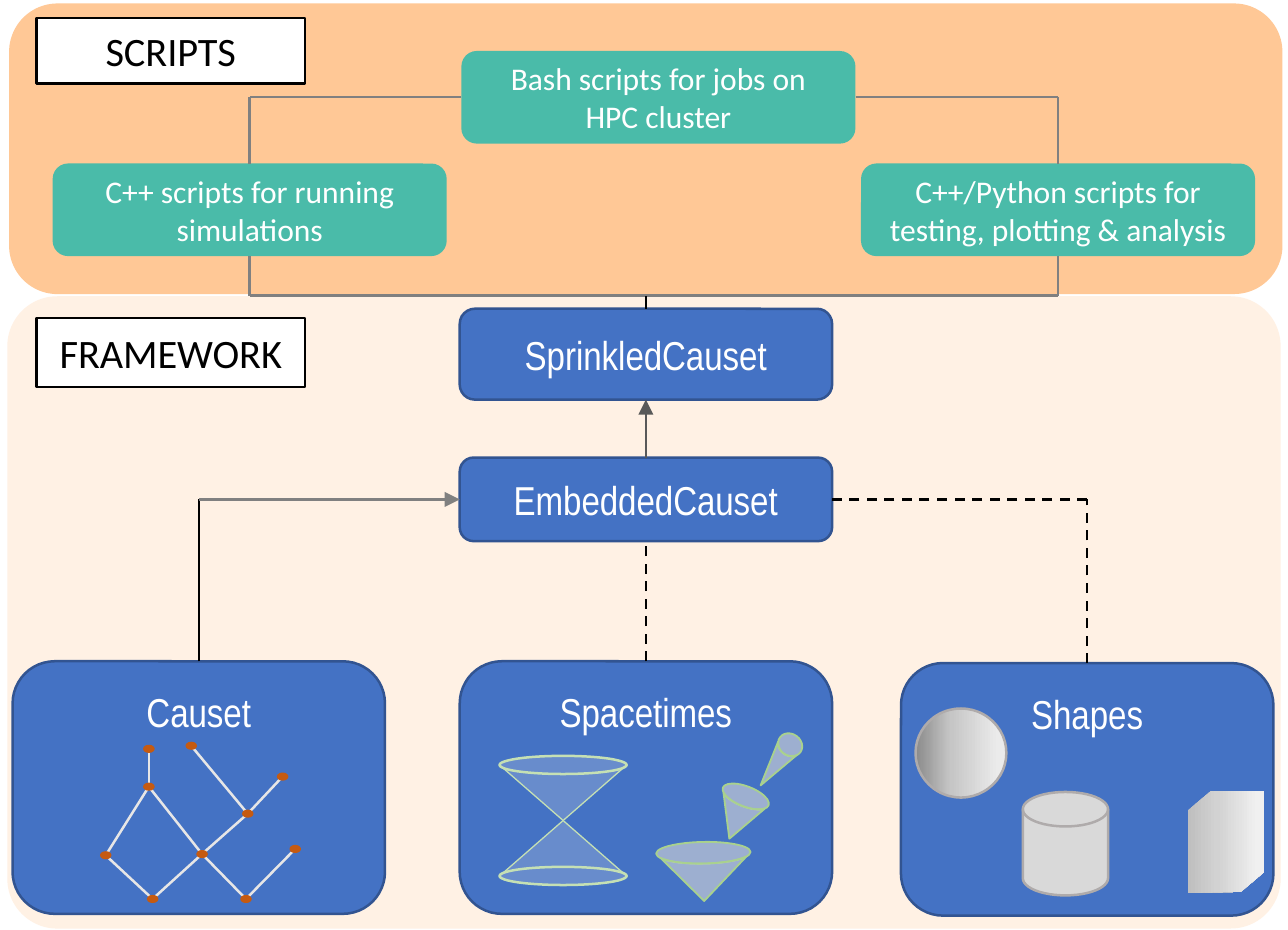
import copy
import math
import pptx
import pptx.util
import pptx.dml.color
import pptx.enum.dml
import pptx.enum.shapes
import pptx.enum.text
import pptx.oxml.ns
from lxml import etree

Pt = pptx.util.Pt
RGB = pptx.dml.color.RGBColor
SHAPE = pptx.enum.shapes.MSO_SHAPE
ANCHOR = pptx.enum.text.MSO_ANCHOR
qn = pptx.oxml.ns.qn

WHITE, BLACK = RGB(255, 255, 255), RGB(0, 0, 0)
ORANGE, CREAM = RGB(0xFF, 0xC8, 0x96), RGB(0xFF, 0xF1, 0xE4)
TEAL, BLUE, NAVY = RGB(0x4A, 0xBB, 0xA9), RGB(0x44, 0x72, 0xC4), RGB(0x32, 0x54, 0x91)
GRAY, DARK_GRAY = RGB(0x80, 0x80, 0x80), RGB(0x59, 0x59, 0x59)
SILVER, OUTLINE = RGB(0xD9, 0xD9, 0xD9), RGB(0xAF, 0xAB, 0xAB)
EDGE, RUST = RGB(0xE7, 0xE6, 0xE6), RGB(0xC5, 0x5A, 0x11)
PALE_GREEN, GREEN, MIST = RGB(0xC5, 0xE0, 0xB4), RGB(0xA9, 0xD1, 0x8E), RGB(0xD6, 0xDC, 0xE5)
SPHERE_STOPS = [(0, RGB(0x8B, 0x8B, 0x8B)), (0.39, RGB(0xC6, 0xC6, 0xC6)), (0.91, RGB(0xEB, 0xEB, 0xEB))]
CUBE_STOPS = [(0, RGB(0xBF, 0xBF, 0xBF)), (0.39, RGB(0xD2, 0xD2, 0xD2)), (0.91, RGB(0xF0, 0xF0, 0xF0))]

# Content: (left, top, width, height) in points
PANELS = [((3.6, 1.4, 504.7, 115.2), ORANGE, 0.1667), ((2.9, 117.4, 504.7, 250.6), CREAM, 0.079)]
LABELS = {"SCRIPTS": (14.4, 7.2, 106.6, 25.9), "FRAMEWORK": (14.4, 126, 106.6, 27.4)}
SCRIPTS = {
    "Bash scripts for jobs on HPC cluster": (182.9, 20.2),
    "C++ scripts for running simulations": (20.9, 64.8),
    "C++/Python scripts for testing, plotting & analysis": (341.3, 64.8),
}
SCRIPT_SIZE = (156.2, 36.7)
CLASSES = {"SprinkledCauset": (182.2, 122.4, 147.6, 36), "EmbeddedCauset": (182.2, 181.4, 147.6, 33.1)}
CARDS = {"Causet": (5, 262.1), "Spacetimes": (182.2, 262.1), "Shapes": (357.1, 262.8)}
CARD_SIZE = (147.6, 100.1)

CAUSET_NODES = {
    "a": (59, 296.8), "b": (59, 311.8), "c": (75.8, 295.6), "d": (98.2, 322.5), "e": (112, 307.8),
    "f": (41.9, 339), "g": (80.1, 338.5), "h": (117, 336.5), "i": (60.5, 356.3), "j": (97.5, 356.3),
}
CAUSET_EDGES = ["fb", "gb", "ba", "dc", "de", "if", "ig", "jh", "jg", "gd"]
DOT = (3.6, 2.2)

# Cones: rim centre, rim radii, height, tilt in degrees
LIGHT_APEX, LIGHT_RADII, LIGHT_HEIGHT = (223.2, 325.2), (25.2, 3.6), 22
TILTED_CONES = [
    ((278.8, 338), (18.7, 4.3), 19.1, -1),
    ((295.6, 315.7), (9.7, 4), 17.9, 21.2),
    ((313.2, 295.2), (5, 4.3), 19.9, 36),
]
CUBE_OUTLINE = [(470.9, 321.1), (480.2, 313.4), (501.1, 313.6), (501.1, 345.6), (491.8, 353.5), (470.9, 354)]

deck = pptx.Presentation()
deck.slide_width, deck.slide_height = Pt(510.5), Pt(368.6)
page = deck.slides.add_slide(deck.slide_layouts[6])
boxes = {}


def paint(shape, fill=None, line=None, width=1, alpha=None):
    shape.shadow.inherit = False
    if isinstance(fill, list):
        shape.fill.gradient()
        shape.fill.gradient_angle = 0
        stop_list = shape.element.spPr.find(qn("a:gradFill")).find(qn("a:gsLst"))
        stop_list.append(copy.deepcopy(stop_list[0]))
        for stop, (position, color) in zip(shape.fill.gradient_stops, fill):
            stop.position, stop.color.rgb = position, color
    else:
        shape.fill.solid()
        shape.fill.fore_color.rgb = fill
    if alpha:
        color = shape.element.spPr.find(qn("a:solidFill"))[0]
        etree.SubElement(color, qn("a:alpha")).set("val", str(alpha * 1000))
    if line is None:
        shape.line.fill.background()
    else:
        shape.line.color.rgb, shape.line.width = line, Pt(width)
    return shape


def add_box(kind, place, *style, **options):
    return paint(page.shapes.add_shape(kind, *map(Pt, place)), *style, **options)


def add_outline(points, *style, **options):
    corners = [(Pt(x), Pt(y)) for x, y in points]
    builder = page.shapes.build_freeform(*corners[0], scale=1.0)
    builder.add_line_segments(corners[1:], close=True)
    return paint(builder.convert_to_shape(), *style, **options)


def add_text(box, text, font, size, color, top=None):
    frame = box.text_frame
    frame.word_wrap = True
    frame.vertical_anchor = ANCHOR.MIDDLE if top is None else ANCHOR.TOP
    if top is not None:
        frame.margin_top = Pt(top)
    frame.text = text
    para = frame.paragraphs[0]
    para.alignment = pptx.enum.text.PP_ALIGN.CENTER
    span = para.runs[0]
    span.font.name, span.font.size, span.font.color.rgb = font, Pt(size), color
    boxes[text] = box


def add_line(start, end, color, width=1, dash=False, arrow=False):
    """Each end is a point, or a box name with a side number."""
    ends = [(0, 0) if isinstance(end_[0], str) else end_ for end_ in (start, end)]
    line = page.shapes.add_connector(
        pptx.enum.shapes.MSO_CONNECTOR.STRAIGHT, *(Pt(value) for point in ends for value in point))
    for target, join in ((start, line.begin_connect), (end, line.end_connect)):
        if isinstance(target[0], str):
            join(boxes[target[0]], target[1])
    line.line.color.rgb, line.line.width = color, Pt(width)
    if dash:
        line.line.dash_style = pptx.enum.dml.MSO_LINE.DASH
    if arrow:
        etree.SubElement(line.line._get_or_add_ln(), qn("a:tailEnd")).set("type", "triangle")
    etree.SubElement(line._element.spPr, qn("a:effectLst"))


def rim_place(center, radii):
    (x, y), (rx, ry) = center, radii
    return x - rx, y - ry, 2 * rx, 2 * ry


def cone_sides(center, radii, height, tilt, start):
    """Apex plus the near arc of the rim, turned about the rim centre."""
    angles = [math.radians(start + (180 - 2 * start) * step / 16) for step in range(17)]
    flat = [(0, height)] + [(radii[0] * math.cos(a), radii[1] * math.sin(a)) for a in angles]
    cos, sin = math.cos(math.radians(tilt)), math.sin(math.radians(tilt))
    return [(center[0] + x * cos - y * sin, center[1] + x * sin + y * cos) for x, y in flat]


# Panels and text boxes
for place, fill, corner in PANELS:
    add_box(SHAPE.ROUNDED_RECTANGLE, place, fill).adjustments[0] = corner
for text, place in LABELS.items():
    add_text(add_box(SHAPE.RECTANGLE, place, WHITE, BLACK), text, "Calibri", 16, BLACK)
for text, corner in SCRIPTS.items():
    add_text(add_box(SHAPE.ROUNDED_RECTANGLE, corner + SCRIPT_SIZE, TEAL), text, "Calibri", 12.5, WHITE)
for text, place in CLASSES.items():
    add_text(add_box(SHAPE.ROUNDED_RECTANGLE, place, BLUE, NAVY), text, "Arial Narrow", 16, WHITE)
for text, corner in CARDS.items():
    card = add_box(SHAPE.ROUNDED_RECTANGLE, corner + CARD_SIZE, BLUE, NAVY)
    add_text(card, text, "Arial Narrow", 16, WHITE, top=5.5)

# Links between scripts, down to the framework
bash, *script_pair = SCRIPTS
bash_y = SCRIPTS[bash][1] + SCRIPT_SIZE[1] / 2
joint = (CLASSES["SprinkledCauset"][0] + CARD_SIZE[0] / 2, 117.2)
for name, side in zip(script_pair, (1, 3)):
    x = SCRIPTS[name][0] + SCRIPT_SIZE[0] / 2
    add_line((bash, side), (x, bash_y), GRAY)
    add_line((name, 0), (x, bash_y), GRAY)
    add_line((x, joint[1]), (name, 2), GRAY)
    add_line((x, joint[1]), joint, GRAY)
add_line(("SprinkledCauset", 0), joint, BLACK)

# Links between classes
embedded_y = CLASSES["EmbeddedCauset"][1] + CLASSES["EmbeddedCauset"][3] / 2
causet_turn, shapes_turn = ((CARDS[name][0] + CARD_SIZE[0] / 2, embedded_y) for name in ("Causet", "Shapes"))
add_line(("Causet", 0), causet_turn, BLACK)
add_line(causet_turn, ("EmbeddedCauset", 1), GRAY, arrow=True)
add_line(("EmbeddedCauset", 0), ("SprinkledCauset", 2), DARK_GRAY, arrow=True)
add_line(("Spacetimes", 0), ("EmbeddedCauset", 2), BLACK, dash=True)
add_line(("Shapes", 0), shapes_turn, BLACK, dash=True)
add_line(shapes_turn, ("EmbeddedCauset", 3), BLACK, dash=True)

# Causet graph
for start, end in CAUSET_EDGES:
    add_line(CAUSET_NODES[start], CAUSET_NODES[end], EDGE)
for x, y in CAUSET_NODES.values():
    add_box(SHAPE.OVAL, (x - DOT[0] / 2, y - DOT[1] / 2) + DOT, RUST, RUST)

# Light cone, then tilted cones
for sign, tilt in ((-1, 0), (1, 180)):
    rim = (LIGHT_APEX[0], LIGHT_APEX[1] + sign * LIGHT_HEIGHT)
    add_outline(cone_sides(rim, LIGHT_RADII, LIGHT_HEIGHT, tilt, 0), MIST, alpha=25)
    for side in (-1, 1):
        add_line((rim[0] + side * LIGHT_RADII[0], rim[1]), LIGHT_APEX, PALE_GREEN, 0.5)
    add_box(SHAPE.OVAL, rim_place(rim, LIGHT_RADII), MIST, PALE_GREEN, alpha=25)
for center, radii, height, tilt in TILTED_CONES:
    rim = add_box(SHAPE.OVAL, rim_place(center, radii), SILVER, GREEN, 0.75, alpha=60)
    rim.rotation = tilt
    add_outline(cone_sides(center, radii, height, tilt, 25), SILVER, GREEN, 0.75, alpha=60)

# Solids
add_box(SHAPE.FLOWCHART_MAGNETIC_DISK, (405.4, 313.9, 33.8, 41), SILVER, OUTLINE)
add_box(SHAPE.OVAL, (362.9, 280.8, 36, 35.3), SPHERE_STOPS, OUTLINE)
add_outline(CUBE_OUTLINE, CUBE_STOPS)

deck.save("out.pptx")
